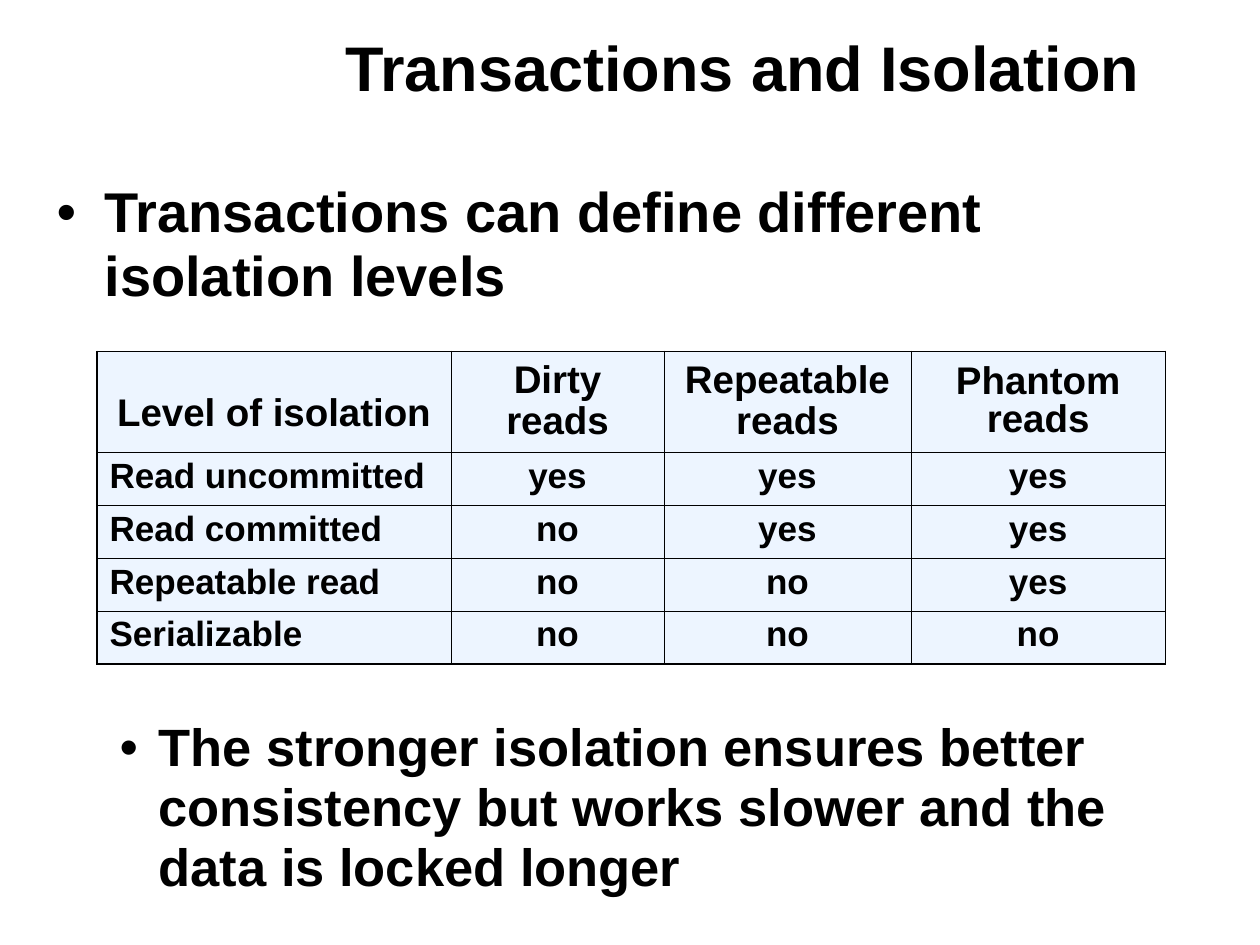
from dataclasses import dataclass

from lxml.etree import SubElement
from pptx import Presentation
from pptx.dml.color import RGBColor
from pptx.enum.text import MSO_ANCHOR, MSO_AUTO_SIZE, PP_ALIGN
from pptx.oxml.ns import qn
from pptx.util import Inches, Pt


@dataclass(frozen=True)
class Theme:
    font: str = "Arial"
    ink: str = "000000"
    cell_fill: str = "DDECFF"
    cell_opacity: int = 50
    title_size: int = 36
    lead_size: int = 32
    detail_size: int = 30
    header_size: int = 22
    cell_size: int = 20
    outer_line: float = 1.08
    inner_line: float = 0.45


THEME = Theme()

COLUMN_WIDTHS = [2.81, 1.69, 1.96, 2.02]
HEADER_HEIGHT, ROW_HEIGHT = 0.8, 0.42
HEADER_SPACING = [1.5, 0.95, 0.95, 0.9]
ISOLATION_LEVELS = [
    ["Level of isolation", "Dirty reads", "Repeatable reads", "Phantom reads"],
    ["Read uncommitted", "yes", "yes", "yes"],
    ["Read committed", "no", "yes", "yes"],
    ["Repeatable read", "no", "no", "yes"],
    ["Serializable", "no", "no", "no"],
]


def place(shape, left, top, width, height):
    shape.left, shape.top = Inches(left), Inches(top)
    shape.width, shape.height = Inches(width), Inches(height)


def format_paragraph(paragraph, size, line_spacing, alignment=PP_ALIGN.LEFT):
    paragraph.alignment = alignment
    paragraph.line_spacing = line_spacing
    paragraph.space_before = Pt(0)
    for run in paragraph.runs:
        run.font.name = THEME.font
        run.font.size = Pt(size)
        run.font.bold = True
        run.font.color.rgb = RGBColor.from_string(THEME.ink)


def add_bullet(paragraph, indent, hanging):
    properties = paragraph._p.get_or_add_pPr()
    properties.set("marL", str(Inches(indent)))
    properties.set("indent", str(-Inches(hanging)))
    color = SubElement(properties, qn("a:buClr"))
    SubElement(color, qn("a:srgbClr"), val=THEME.ink)
    SubElement(properties, qn("a:buFont"), typeface=THEME.font)
    SubElement(properties, qn("a:buChar"), char="•")


def fill_title(title):
    place(title, 2.64, 0.08, 7.17, 0.99)
    frame = title.text_frame
    frame.text = "Transactions and Isolation"
    frame.auto_size = MSO_AUTO_SIZE.NONE
    frame.vertical_anchor = MSO_ANCHOR.MIDDLE
    format_paragraph(frame.paragraphs[0], THEME.title_size, 0.85)


def fill_body(body):
    """Write the two bullets, leaving room for the table between them."""
    place(body, 0.35, 1.39, 9.29, 5.83)
    frame = body.text_frame
    frame.auto_size = MSO_AUTO_SIZE.NONE
    frame.vertical_anchor = MSO_ANCHOR.TOP
    lead = frame.paragraphs[0]
    lead.text = "Transactions can define different isolation levels"
    add_bullet(lead, 0.38, 0.38)
    format_paragraph(lead, THEME.lead_size, 0.95)
    detail = frame.add_paragraph()
    detail.text = ("The stronger isolation ensures better consistency "
                   "but works slower and the data is locked longer")
    detail.level = 1
    add_bullet(detail, 0.81, 0.31)
    format_paragraph(detail, THEME.detail_size, 0.95)
    detail.space_before = Pt(234)


def style_cell(cell, outer_sides):
    """Fill the cell and rule it, with heavier lines on the outer sides."""
    cell.fill.solid()
    cell.fill.fore_color.rgb = RGBColor.from_string(THEME.cell_fill)
    properties = cell._tc.get_or_add_tcPr()
    color = properties.find(".//" + qn("a:srgbClr"))
    SubElement(color, qn("a:alpha"), val=str(THEME.cell_opacity * 1000))
    for position, side in enumerate("LRTB"):
        width = THEME.outer_line if side in outer_sides else THEME.inner_line
        line = SubElement(properties, qn(f"a:ln{side}"), w=str(Pt(width)))
        solid = SubElement(line, qn("a:solidFill"))
        SubElement(solid, qn("a:srgbClr"), val=THEME.ink)
        properties.insert(position, line)


def write_cell(cell, text, row, column):
    cell.text_frame.text = text
    paragraph = cell.text_frame.paragraphs[0]
    is_header = row == 0
    centred = is_header or column > 0
    cell.vertical_anchor = MSO_ANCHOR.MIDDLE if is_header else MSO_ANCHOR.TOP
    format_paragraph(
        paragraph,
        THEME.header_size if is_header else THEME.cell_size,
        HEADER_SPACING[column] if is_header else 0.95,
        PP_ALIGN.CENTER if centred else PP_ALIGN.LEFT,
    )


def add_isolation_table(slide):
    row_count, column_count = len(ISOLATION_LEVELS), len(COLUMN_WIDTHS)
    heights = [HEADER_HEIGHT] + [ROW_HEIGHT] * (row_count - 1)
    table = slide.shapes.add_table(
        row_count, column_count, Inches(0.77), Inches(2.79),
        Inches(sum(COLUMN_WIDTHS)), Inches(sum(heights))).table
    table.first_row = table.horz_banding = False
    for column, width in zip(table.columns, COLUMN_WIDTHS):
        column.width = Inches(width)
    for row, height in zip(table.rows, heights):
        row.height = Inches(height)
    for row, texts in enumerate(ISOLATION_LEVELS):
        for column, text in enumerate(texts):
            edges = {"L": column == 0, "R": column == column_count - 1,
                     "T": row == 0, "B": row == row_count - 1}
            cell = table.cell(row, column)
            write_cell(cell, text, row, column)
            style_cell(cell, [side for side, outer in edges.items() if outer])


def main():
    presentation = Presentation()
    presentation.slide_width, presentation.slide_height = Inches(10), Inches(7.5)
    slide = presentation.slides.add_slide(presentation.slide_layouts[1])
    fill_title(slide.shapes.title)
    fill_body(slide.placeholders[1])
    add_isolation_table(slide)
    presentation.save("out.pptx")


if __name__ == "__main__":
    main()
